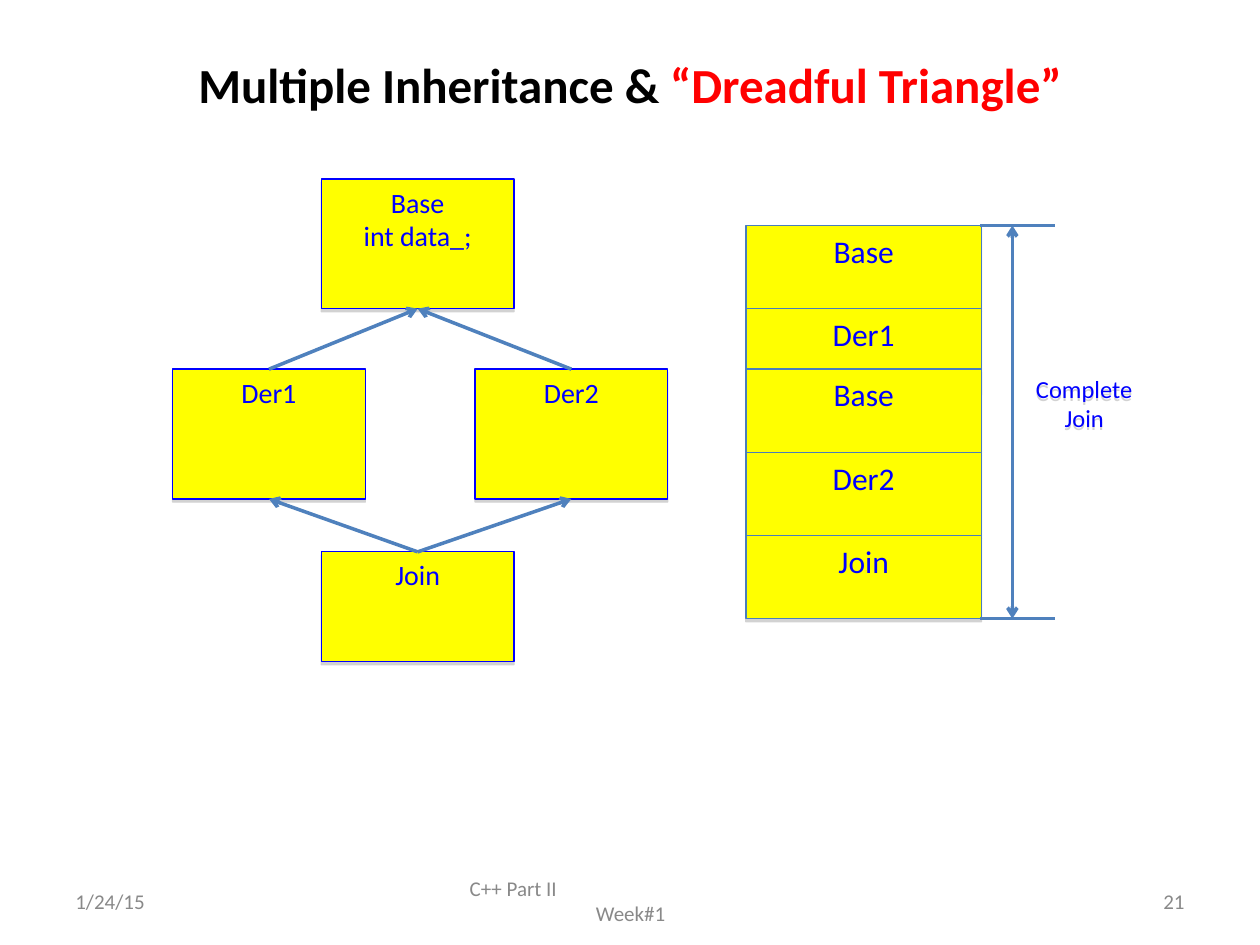
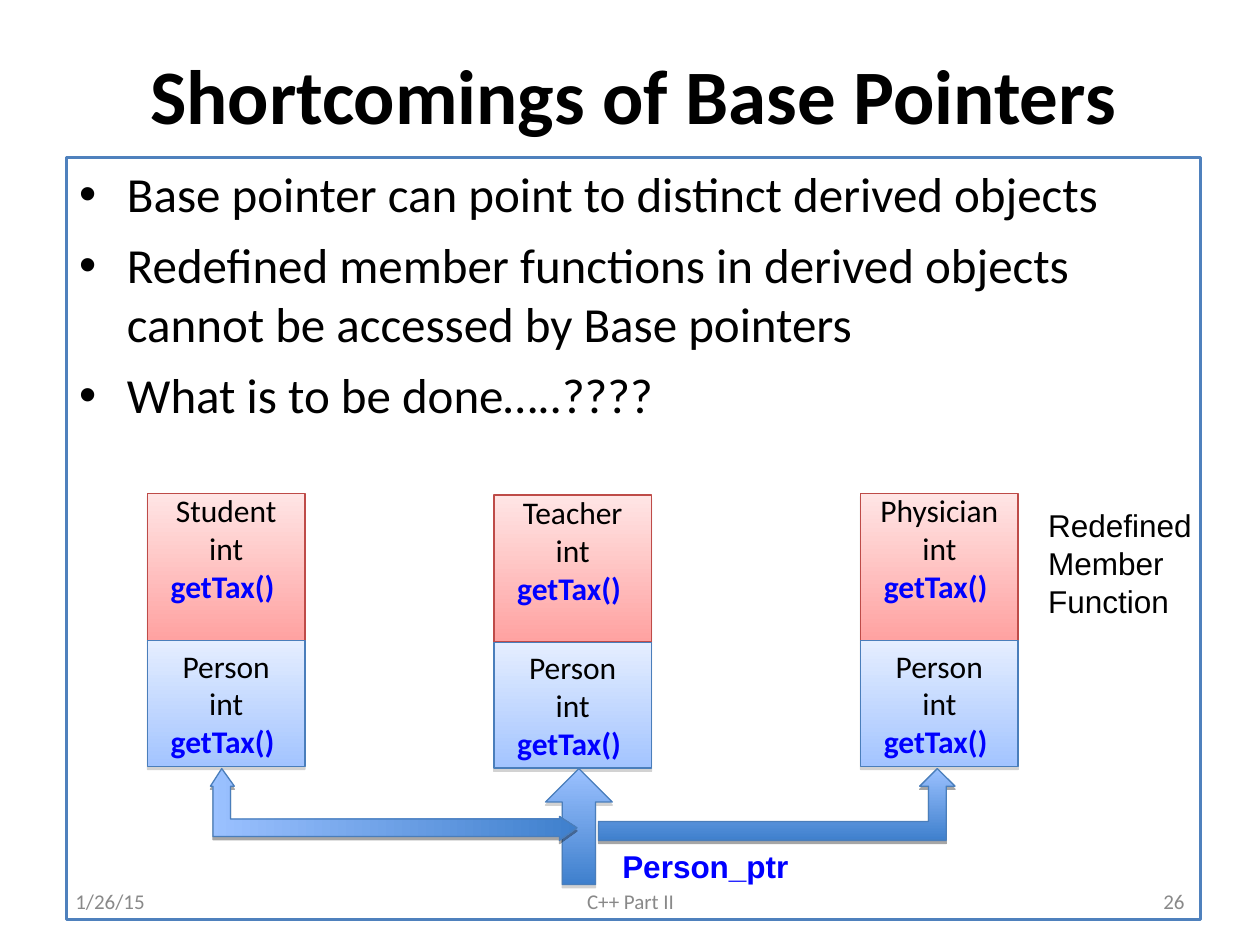
from dataclasses import dataclass, replace
from itertools import accumulate
from typing import Any, NamedTuple

from lxml import etree
from pptx import Presentation, util as u
from pptx.dml.color import RGBColor
from pptx.enum import shapes, text
from pptx.oxml import ns

# The slide is a grid of square cells: 100 columns by 75 rows.
COLUMNS, ROWS = 100, 75
SLIDE_WIDTH = u.Inches(10)
CELL = SLIDE_WIDTH // COLUMNS

BLACK, BLUE, RED, YELLOW, GREY = "000000", "0000FF", "FF0000", "FFFF00", "898989"
ACCENT, EDGE, RED_EDGE = "4F81BD", "4A7EBB", "BE4B48"
PINK_FADE, SKY_FADE, ARROW_FADE = ("FFE5E5", "FFA2A1"), ("E5EEFF", "A3C4FF"), ("9BC1FF", "3F80CD")
DOWNWARD, RIGHTWARD = 270, 0
LEFT, CENTER, RIGHT = text.PP_ALIGN.LEFT, text.PP_ALIGN.CENTER, text.PP_ALIGN.RIGHT
TOP, MIDDLE = text.MSO_ANCHOR.TOP, text.MSO_ANCHOR.MIDDLE
KIND = shapes.MSO_SHAPE


class Box(NamedTuple):
    """A place on the grid, in columns and rows."""
    column: float
    row: float
    width: float
    height: float


class Run(NamedTuple):
    words: str
    color: str | None = None
    bold: bool | None = None


@dataclass(frozen=True)
class TextStyle:
    size: float
    color: str = BLACK
    bold: bool = False
    font: str = "Calibri"
    align: Any = LEFT
    anchor: Any = TOP
    space_before: float = 0
    bulleted: bool = False
    margin_top: float = 0.5
    margin_bottom: float = 0.5


@dataclass(frozen=True)
class Look:
    fill: str | tuple[str, str] | None = None
    line: str | None = None
    line_width: float = 0.75
    angle: int = DOWNWARD
    shadow: str | None = "808080"


TITLE = TextStyle(44, bold=True, align=CENTER, anchor=MIDDLE)
FOOTER = TextStyle(12, GREY, anchor=MIDDLE)
CLASS_LABEL = TextStyle(16, BLUE, align=CENTER)
MEMORY_LABEL = replace(CLASS_LABEL, size=18)
BODY = TextStyle(28, space_before=7, bulleted=True)
MEMBERS = TextStyle(18, align=CENTER, anchor=MIDDLE)
DERIVED_MEMBERS = replace(MEMBERS, margin_top=0, margin_bottom=3)
NOTE = TextStyle(18, font="Arial")

CLASS_LOOK = Look(YELLOW, BLUE)
MEMORY_LOOK = Look(YELLOW, EDGE)
ARROW_LOOK = Look(ARROW_FADE, EDGE)
Paragraphs = list[list[Run]]


def cells(count: float) -> int:
    return round(count * CELL)


def rgb(color: str) -> RGBColor:
    return RGBColor.from_string(color)


def set_values(target: Any, **values: Any) -> None:
    for name, value in values.items():
        setattr(target, name, value)


def lines(*words: str) -> Paragraphs:
    return [[Run(line)] for line in words]


def add_xml(parent: Any, tag: str, **attributes: str) -> Any:
    return etree.SubElement(parent, ns.qn(tag), attributes)


def add_shadow(shape: Any, color: str | None) -> None:
    shape.shadow.inherit = False
    if color:
        effects = shape._element.spPr.find(ns.qn("a:effectLst"))
        outer = add_xml(effects, "a:outerShdw", blurRad="0", dist=str(u.Pt(1.8)),
                        dir="5400000", rotWithShape="0")
        add_xml(add_xml(outer, "a:srgbClr", val=color), "a:alpha", val="35000")


def apply_look(shape: Any, look: Look) -> None:
    if look.fill is None:
        shape.fill.background()
    elif isinstance(look.fill, str):
        shape.fill.solid()
        shape.fill.fore_color.rgb = rgb(look.fill)
    else:
        shape.fill.gradient()
        shape.fill.gradient_angle = look.angle
        for position, (stop, color) in enumerate(zip(shape.fill.gradient_stops, look.fill)):
            stop.position = position
            stop.color.rgb = rgb(color)
    shape.line.color.rgb = rgb(look.line)
    shape.line.width = u.Pt(look.line_width)
    add_shadow(shape, look.shadow)


def write(shape: Any, paragraphs: Paragraphs, style: TextStyle) -> None:
    frame = shape.text_frame
    set_values(frame, word_wrap=True, vertical_anchor=style.anchor,
               margin_left=cells(1), margin_right=cells(1),
               margin_top=cells(style.margin_top), margin_bottom=cells(style.margin_bottom))
    for index, runs in enumerate(paragraphs):
        paragraph = frame.add_paragraph() if index else frame.paragraphs[0]
        set_values(paragraph, alignment=style.align, space_before=u.Pt(style.space_before))
        if style.bulleted:
            properties = paragraph._p.get_or_add_pPr()
            properties.set("marL", str(cells(3.8)))
            properties.set("indent", str(cells(-3.8)))
            add_xml(properties, "a:buFont", typeface="Arial")
            add_xml(properties, "a:buChar", char="•")
        for part in runs:
            run = paragraph.add_run()
            run.text = part.words
            bold = style.bold if part.bold is None else part.bold
            set_values(run.font, name=style.font, size=u.Pt(style.size), bold=bold)
            run.font.color.rgb = rgb(part.color or style.color)


def add_text(slide: Any, box: Box, paragraphs: Paragraphs, style: TextStyle) -> Any:
    shape = slide.shapes.add_textbox(*map(cells, box))
    write(shape, paragraphs, style)
    return shape


def add_block(slide: Any, kind: Any, box: Box, look: Look,
              paragraphs: Paragraphs | None = None, style: TextStyle = MEMBERS) -> Any:
    shape = slide.shapes.add_shape(kind, *map(cells, box))
    apply_look(shape, look)
    if paragraphs:
        write(shape, paragraphs, style)
    return shape


def add_outline(slide: Any, points: list[tuple[float, float]], look: Look) -> None:
    start, *others = [(cells(column), cells(row)) for column, row in points]
    builder = slide.shapes.build_freeform(*start)
    builder.add_line_segments(others, close=True)
    apply_look(builder.convert_to_shape(), look)


def add_line(slide: Any, start: tuple[float, float], end: tuple[float, float],
             heads: tuple[str, ...] = ()) -> Any:
    """Draw a line; heads names the ends that carry arrows, headEnd before tailEnd."""
    connector = slide.shapes.add_connector(
        shapes.MSO_CONNECTOR.STRAIGHT, *map(cells, (*start, *end)))
    connector.line.color.rgb = rgb(ACCENT)
    connector.line.width = u.Pt(2)
    for head in heads:
        add_xml(connector.line._get_or_add_ln(), f"a:{head}", type="arrow")
    add_xml(connector._element.spPr, "a:effectLst")
    return connector


def add_footers(slide: Any, date: str, subject: Paragraphs, number: str) -> Any:
    row, height = 69.5, 4
    add_text(slide, Box(5, row, 23.3, height), lines(date), FOOTER)
    subject_box = add_text(slide, Box(34.2, row, 31.7, height), subject,
                           replace(FOOTER, align=CENTER))
    add_text(slide, Box(71.7, row, 23.3, height), lines(number), replace(FOOTER, align=RIGHT))
    return subject_box


def build_triangle_slide(slide: Any) -> None:
    add_text(slide, Box(7.5, 2.5, 85, 8.3),
             [[Run("Multiple Inheritance & "), Run("“Dreadful Triangle”", RED)]],
             replace(TITLE, size=28))
    subject = add_footers(slide, "1/24/15", lines("C++ Part II", "Week#1"), "21")
    first = subject.text_frame.paragraphs[0]
    first.alignment = LEFT
    first._p.get_or_add_pPr().set("marL", str(cells(2.1)))

    class_width = 15.3
    classes = {
        name: add_block(slide, KIND.FLOWCHART_PROCESS, Box(column, row, class_width, height),
                        CLASS_LOOK, lines(name, *members), CLASS_LABEL)
        for name, column, row, height, members in (
            ("Base", 25.5, 14.2, 10.3, ["int data_;"]),
            ("Der1", 13.7, 29.3, 10.3, []),
            ("Der2", 37.7, 29.3, 10.3, []),
            ("Join", 25.5, 43.8, 8.7, []))}
    for child, parent in (("Join", "Der2"), ("Join", "Der1"), ("Der1", "Base"), ("Der2", "Base")):
        arrow = add_line(slide, (0, 0), (0, 0), ("tailEnd",))
        arrow.begin_connect(classes[child], 0)
        arrow.end_connect(classes[parent], 2)

    # Der1 is partly covered by the second Base.
    top, part, covered_part = 17.9, 6.6, 4.8
    tops = list(accumulate((part, covered_part, part, part), initial=top))
    for name, row in zip(("Base", "Der1", "Base", "Der2", "Join"), tops):
        add_block(slide, KIND.FLOWCHART_PROCESS, Box(59.2, row, 18.7, part),
                  MEMORY_LOOK, lines(name), MEMORY_LABEL)
    bottom = tops[-1] + part
    for row in (top, bottom):
        add_line(slide, (77.8, row), (83.7, row))
    add_line(slide, (80.35, top), (80.35, bottom), ("headEnd", "tailEnd"))
    label = add_text(slide, Box(81.2, 24.5, 9.7, 15), lines("Complete Join"),
                     replace(CLASS_LABEL, size=14, anchor=MIDDLE))
    add_shadow(label, "808080")


def build_pointers_slide(slide: Any) -> None:
    add_text(slide, Box(5.3, 3.3, 90, 8.3), lines("Shortcomings of Base Pointers"), TITLE)
    add_block(slide, KIND.RECTANGLE, Box(5.3, 12.5, 90, 60.5),
              Look(line=ACCENT, line_width=1.5, shadow=None),
              lines("Base pointer can point to distinct derived objects",
                    "Redefined member functions in derived objects cannot be accessed by Base pointers",
                    "What is to be done…..????"), BODY)
    add_footers(slide, "1/26/15", lines("C++ Part II"), "26")

    width, derived_height, base_height = 12.5, 11.67, 10
    get_tax = [Run("int "), Run("getTax() ", BLUE, True)]
    for name, column, row in (("Student", 11.7, 39.15), ("Teacher", 39.2, 39.3),
                              ("Physician", 68.3, 39.15)):
        add_block(slide, KIND.RECTANGLE, Box(column, row, width, derived_height),
                  Look(PINK_FADE, RED_EDGE), [[Run(name)], get_tax], DERIVED_MEMBERS)
        add_block(slide, KIND.RECTANGLE, Box(column, row + derived_height, width, base_height),
                  Look(SKY_FADE, EDGE), [[Run("Person")], get_tax], MEMBERS)

    add_block(slide, KIND.UP_ARROW, Box(43.3, 61, 5.3, 9.2), ARROW_LOOK)
    add_text(slide, Box(48.4, 66.7, 15.9, 4), lines("Person_ptr"),
             replace(NOTE, color=BLUE, bold=True))
    to_physician = [(47.5, 65.2), (73.7, 65.2), (73.7, 62.4), (73, 62.4), (74.4, 61),
                    (75.8, 62.4), (75.1, 62.4), (75.1, 66.7), (47.5, 66.7)]
    to_student = [(17.6, 61), (18.6, 62.4), (18.3, 62.4), (18.3, 65), (44.4, 65), (44.4, 64.8),
                  (45.8, 65.7), (44.4, 66.7), (44.4, 66.4), (16.9, 66.4), (16.9, 62.4),
                  (16.7, 62.4)]
    elbow_look = replace(ARROW_LOOK, shadow=BLACK)
    add_outline(slide, to_physician, elbow_look)
    add_outline(slide, to_student, replace(elbow_look, angle=RIGHTWARD))
    add_text(slide, Box(82.2, 39.7, 14.1, 13), lines("Redefined", "Member", "Function"), NOTE)


def main() -> None:
    presentation = Presentation()
    set_values(presentation, slide_width=SLIDE_WIDTH, slide_height=cells(ROWS))
    blank = presentation.slide_layouts[6]
    for build in (build_triangle_slide, build_pointers_slide):
        build(presentation.slides.add_slide(blank))
    presentation.save("out.pptx")


if __name__ == "__main__":
    main()
